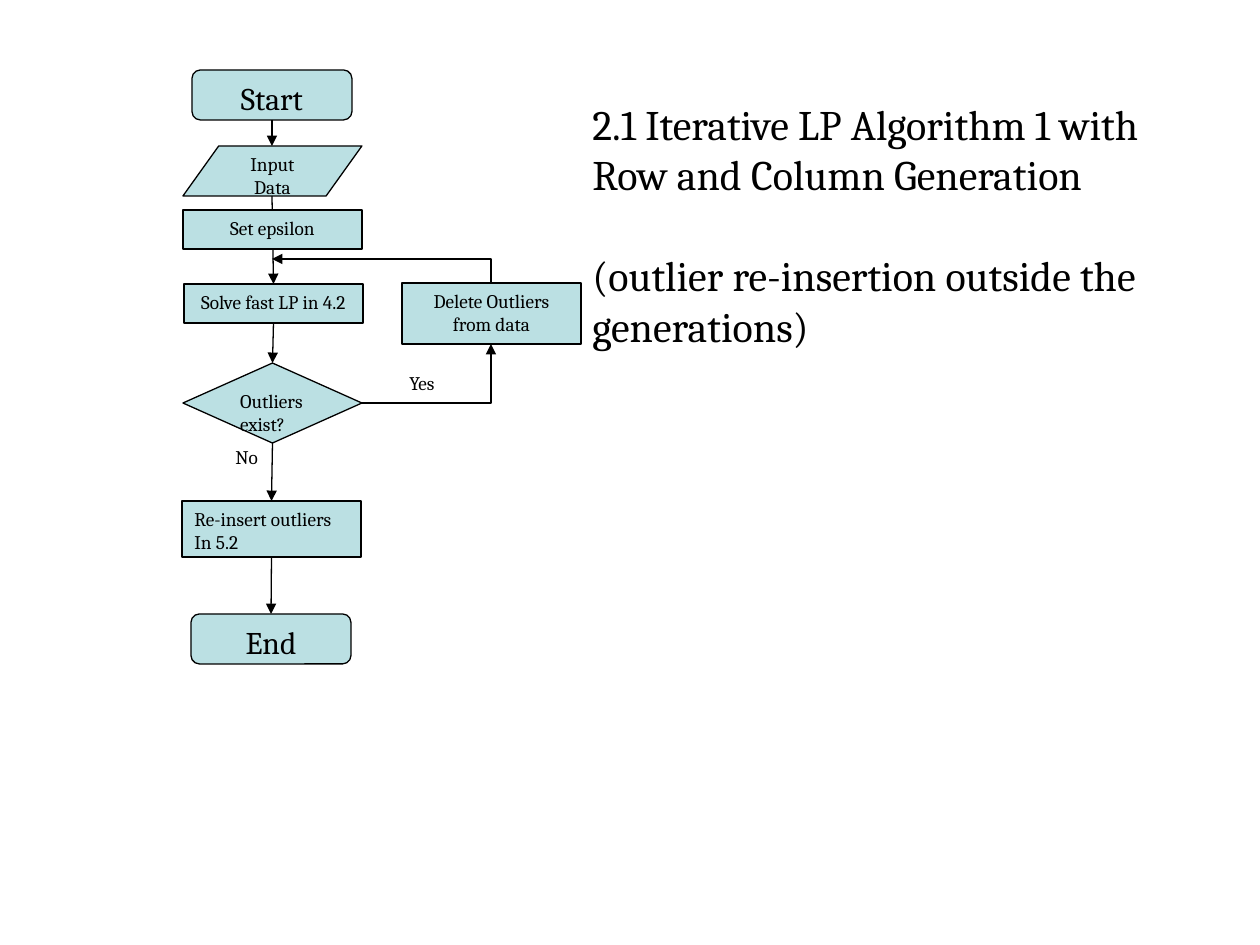
"""Build a flowchart slide for an iterative LP algorithm with outlier removal."""
from dataclasses import dataclass

from lxml import etree
from pptx import Presentation
from pptx.dml.color import RGBColor
from pptx.enum.shapes import MSO_CONNECTOR, MSO_SHAPE
from pptx.enum.text import MSO_ANCHOR, PP_ALIGN
from pptx.oxml.ns import qn
from pptx.util import Emu, Pt

ROUNDED = MSO_SHAPE.ROUNDED_RECTANGLE
DATA = MSO_SHAPE.FLOWCHART_DATA
PROCESS = MSO_SHAPE.FLOWCHART_PROCESS
DECISION = MSO_SHAPE.FLOWCHART_DECISION
STRAIGHT = MSO_CONNECTOR.STRAIGHT
ELBOW = MSO_CONNECTOR.ELBOW
TOP = MSO_ANCHOR.TOP
LEFT = PP_ALIGN.LEFT
CENTER = PP_ALIGN.CENTER
SITE_TOP, SITE_BOTTOM = 0, 2
PX_PER_INCH = 126


@dataclass(frozen=True)
class Theme:
    font: str = "Cambria"
    ink: RGBColor = RGBColor(0x00, 0x00, 0x00)
    fill: RGBColor = RGBColor(0xBB, 0xE0, 0xE3)
    line: float = 0.75
    small: int = 11
    medium: int = 18
    large: int = 24
    title_gap: int = 29


THEME = Theme()


@dataclass(frozen=True)
class Step:
    name: str
    kind: int
    left: int
    top: int
    width: int
    height: int
    lines: tuple[str, ...]
    size: int = THEME.small
    align: int = CENTER


@dataclass(frozen=True)
class Label:
    left: int
    top: int
    width: int
    height: int
    lines: tuple[str, ...]
    size: int = THEME.small
    gap: int = 0


@dataclass(frozen=True)
class Arrow:
    start: tuple[int, int]
    end: tuple[int, int]
    source: str = ""
    target: str = ""
    kind: int = STRAIGHT
    arrow_end: str = "tailEnd"


STEPS = (
    Step("start", ROUNDED, 192, 70, 160, 50, ("Start",), THEME.medium),
    Step("input", DATA, 183, 146, 179, 50, ("Input Data",)),
    Step("solve", PROCESS, 184, 284, 179, 39, ("Solve fast LP in 4.2",)),
    Step("decide", DECISION, 183, 363, 179, 80, ("Outliers exist?",), align=LEFT),
    Step("delete", PROCESS, 402, 283, 179, 61, ("Delete Outliers from data",)),
    Step("reinsert", PROCESS, 182, 501, 179, 56,
         ("Re-insert outliers", "In 5.2"), align=LEFT),
    Step("end", ROUNDED, 191, 614, 160, 50, ("End",), THEME.medium),
)
EPSILON = Step("epsilon", PROCESS, 183, 210, 179, 39, ("Set epsilon",))

ARROWS = (
    Arrow((272, 120), (272, 146), "start"),
    Arrow((272, 196), (273, 284), target="solve"),
    Arrow((273, 323), (272, 363), "solve", "decide"),
    Arrow((272, 443), (272, 501), "decide", "reinsert"),
    Arrow((272, 557), (271, 614), "reinsert", "end"),
    Arrow((362, 403), (491, 344), kind=ELBOW),
    Arrow((272, 259), (491, 283), kind=ELBOW, arrow_end="headEnd"),
)

LABELS = (
    Label(397, 365, 59, 37, ("Yes",)),
    Label(223, 439, 59, 37, ("No",)),
    Label(580, 92, 586, 267,
          ("2.1 Iterative LP Algorithm 1 with Row and Column Generation",
           "(outlier re-insertion outside the generations)"),
          THEME.large, THEME.title_gap),
)


def px(length: int) -> Emu:
    """Turn pixels into EMU."""
    return Emu(round(length * 914400 / PX_PER_INCH))


def write(box, lines: tuple[str, ...], size: int, align: int, gap: int = 0) -> None:
    """Write one paragraph per line into a box."""
    frame = box.text_frame
    frame.word_wrap = True
    frame.vertical_anchor = TOP
    for index, line in enumerate(lines):
        para = frame.add_paragraph() if index else frame.paragraphs[0]
        para.alignment = align
        if index and gap:
            para.space_before = Pt(gap)
        span = para.add_run()
        span.text = line
        span.font.name = THEME.font
        span.font.size = Pt(size)
        span.font.color.rgb = THEME.ink


def draw_step(page, step: Step):
    """Draw one flowchart step and return its shape."""
    box = page.shapes.add_shape(
        step.kind, px(step.left), px(step.top), px(step.width), px(step.height))
    box.shadow.inherit = False
    box.fill.solid()
    box.fill.fore_color.rgb = THEME.fill
    box.line.color.rgb = THEME.ink
    box.line.width = Pt(THEME.line)
    write(box, step.lines, step.size, step.align)
    return box


def draw_label(page, label: Label) -> None:
    """Draw one free text label."""
    box = page.shapes.add_textbox(
        px(label.left), px(label.top), px(label.width), px(label.height))
    write(box, label.lines, label.size, LEFT, label.gap)


def draw_arrow(page, arrow: Arrow, boxes: dict) -> None:
    """Draw a straight or one-bend arrow, joined to the named steps."""
    connector = page.shapes.add_connector(
        arrow.kind, *map(px, arrow.start), *map(px, arrow.end))
    connector.line.color.rgb = THEME.ink
    connector.line.width = Pt(THEME.line)
    properties = connector._element.spPr
    if arrow.kind == ELBOW:
        properties.find(qn("a:prstGeom")).set("prst", "bentConnector2")
    outline = properties.find(qn("a:ln"))
    etree.SubElement(outline, qn(f"a:{arrow.arrow_end}"), type="triangle")
    etree.SubElement(properties, qn("a:effectLst"))
    if arrow.source:
        connector.begin_connect(boxes[arrow.source], SITE_BOTTOM)
    if arrow.target:
        connector.end_connect(boxes[arrow.target], SITE_TOP)


def main() -> None:
    """Assemble and save the slide."""
    deck = Presentation()
    deck.slide_width, deck.slide_height = px(1260), px(945)
    page = deck.slides.add_slide(deck.slide_layouts[6])
    boxes = {step.name: draw_step(page, step) for step in STEPS}
    for arrow in ARROWS:
        draw_arrow(page, arrow, boxes)
    draw_step(page, EPSILON)
    for label in LABELS:
        draw_label(page, label)
    deck.save("out.pptx")


if __name__ == "__main__":
    main()
